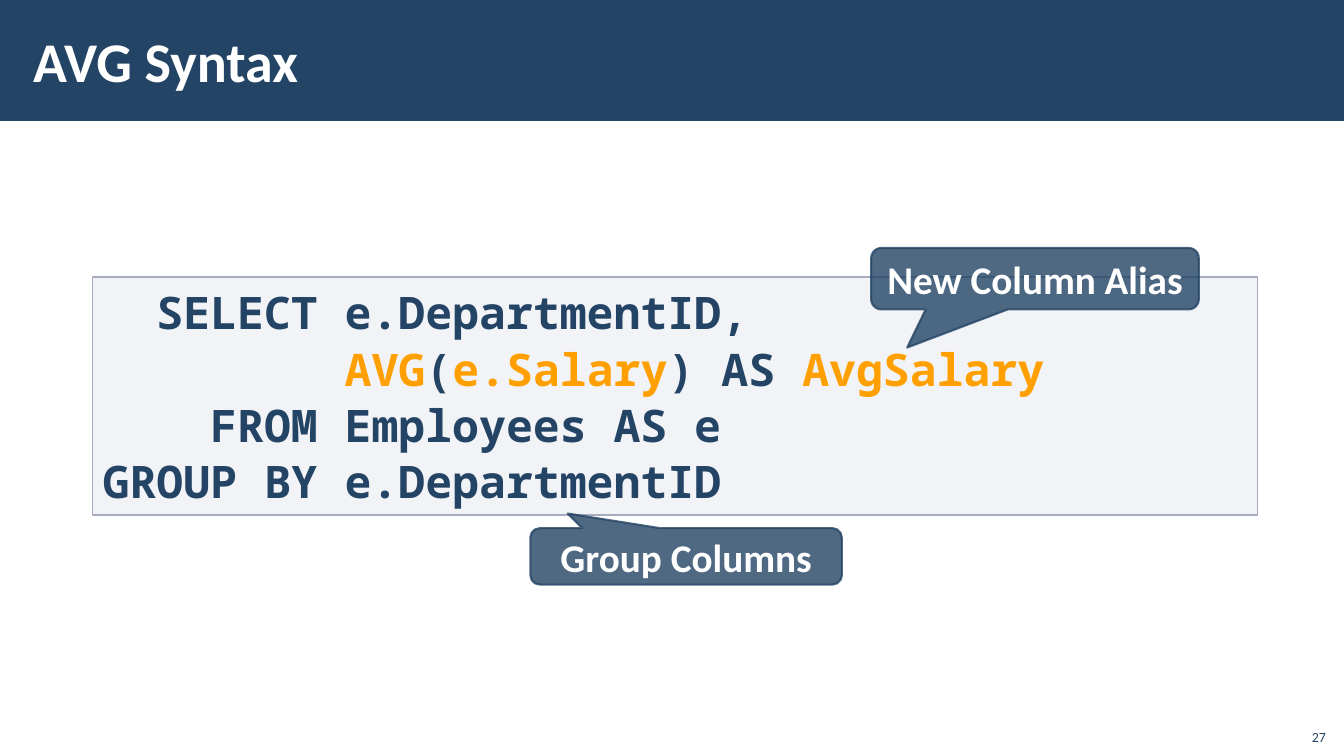
"""Build the AVG syntax slide with its code box and two callouts."""
from lxml import etree
from pptx import Presentation
from pptx.dml.color import RGBColor
from pptx.enum import shapes, text
from pptx.oxml import ns
from pptx.util import Inches, Pt

NAVY = RGBColor(0x23, 0x44, 0x65)
ORANGE = RGBColor(0xFF, 0xA0, 0x00)
WHITE = RGBColor(0xFF, 0xFF, 0xFF)
CODE_FILL = RGBColor(0xC2, 0xC7, 0xD2)
CODE_LINE = RGBColor(0xA3, 0xAB, 0xBC)
CODE_SIZE = 32
CHARACTER_WIDTH = Pt(CODE_SIZE * 0.6)


def write(paragraph, content, size=28, color=WHITE, bold=True, font="Calibri",
          align=text.PP_ALIGN.LEFT):
    paragraph.alignment = align
    run = paragraph.add_run()
    run.text = content
    run.font.name = font
    run.font.size = Pt(size)
    run.font.bold = bold
    run.font.color.rgb = color


def set_opacity(shape, percent):
    for color in shape._element.spPr.iter(ns.qn("a:srgbClr")):
        etree.SubElement(color, ns.qn("a:alpha"), val=str(percent * 1000))


presentation = Presentation()
presentation.slide_width = Inches(13.33)
presentation.slide_height = Inches(7.5)
slide = presentation.slides.add_slide(presentation.slide_layouts[6])

header = slide.shapes.add_shape(
    shapes.MSO_SHAPE.RECTANGLE, 0, 0, presentation.slide_width, Inches(1.2))
header.shadow.inherit = False
header.fill.solid()
header.fill.fore_color.rgb = NAVY
header.line.fill.background()

code_box = slide.shapes.add_shape(
    shapes.MSO_SHAPE.RECTANGLE, Inches(0.92), Inches(2.75), Inches(11.55), Inches(2.36))
code_box.shadow.inherit = False
code_box.fill.solid()
code_box.fill.fore_color.rgb = CODE_FILL
set_opacity(code_box, 20)
code_box.line.color.rgb = CODE_LINE
code_box.line.width = Pt(1)

code_lines = [
    (2, [("SELECT e.DepartmentID,", NAVY)]),
    (9, [("AVG", ORANGE), ("(", NAVY), ("e.Salary", ORANGE), (") AS ", NAVY),
         ("AvgSalary", ORANGE)]),
    (4, [("FROM Employees AS e", NAVY)]),
    (0, [("GROUP BY e.DepartmentID", NAVY)]),
]
code_frame = code_box.text_frame
code_frame.word_wrap = True
code_frame.vertical_anchor = text.MSO_ANCHOR.TOP
for number, (indent, parts) in enumerate(code_lines):
    paragraph = code_frame.add_paragraph() if number else code_frame.paragraphs[0]
    paragraph.line_spacing = 1.05
    properties = paragraph._p.get_or_add_pPr()
    properties.set("marL", str(indent * CHARACTER_WIDTH))
    properties.set("indent", "0")
    for content, color in parts:
        write(paragraph, content, size=CODE_SIZE, color=color, font="Noto Sans Mono")

title = slide.shapes.add_textbox(Inches(0.21), Inches(0.11), Inches(10.63), Inches(0.97))
title_frame = title.text_frame
title_frame.word_wrap = True
title_frame.vertical_anchor = text.MSO_ANCHOR.MIDDLE
title_frame.margin_left = title_frame.margin_right = Inches(0.12)
title_frame.margin_top = title_frame.margin_bottom = Inches(0.04)
write(title_frame.paragraphs[0], "AVG Syntax", size=40)

callouts = [
    ("Group Columns", (5.26, 5.24, 3.09, 0.56), (-0.38, -0.76)),
    ("New Column Alias", (8.64, 2.46, 3.25, 0.61), (-0.39, 1.12)),
]
for label, position, tip in callouts:
    callout = slide.shapes.add_shape(
        shapes.MSO_SHAPE.ROUNDED_RECTANGULAR_CALLOUT, *map(Inches, position))
    callout.adjustments[0], callout.adjustments[1] = tip
    callout.shadow.inherit = False
    callout.fill.solid()
    callout.fill.fore_color.rgb = NAVY
    callout.line.color.rgb = NAVY
    callout.line.width = Pt(1.5)
    set_opacity(callout, 80)
    callout.text_frame.word_wrap = True
    callout.text_frame.vertical_anchor = text.MSO_ANCHOR.MIDDLE
    write(callout.text_frame.paragraphs[0], label, align=text.PP_ALIGN.CENTER)

page_number = slide.shapes.add_textbox(Inches(12.85), Inches(7.12), Inches(0.4), Inches(0.32))
page_number.text_frame.word_wrap = True
page_number.text_frame.vertical_anchor = text.MSO_ANCHOR.BOTTOM
write(page_number.text_frame.paragraphs[0], "27", size=10, color=NAVY, bold=False,
      align=text.PP_ALIGN.RIGHT)

presentation.save("out.pptx")
